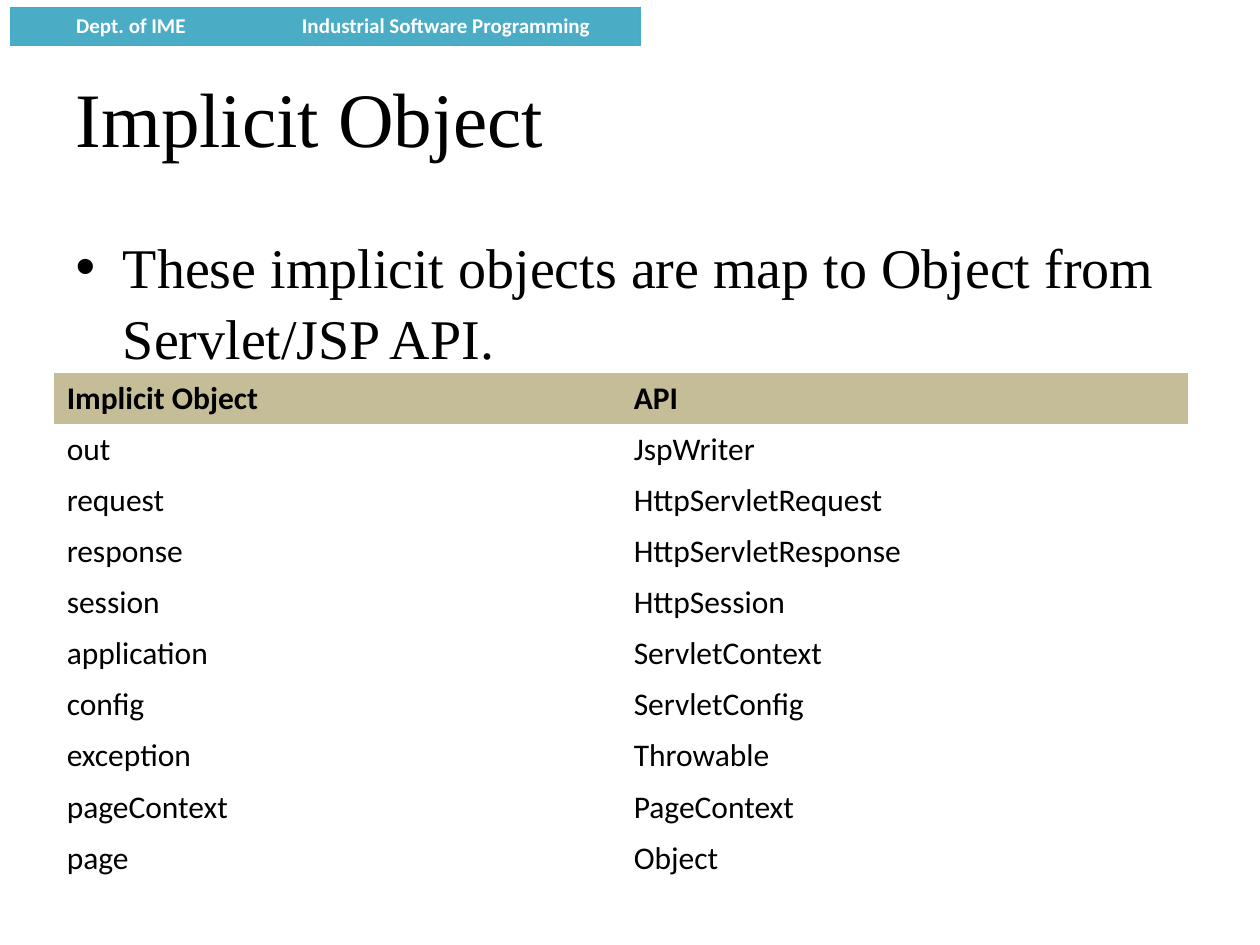
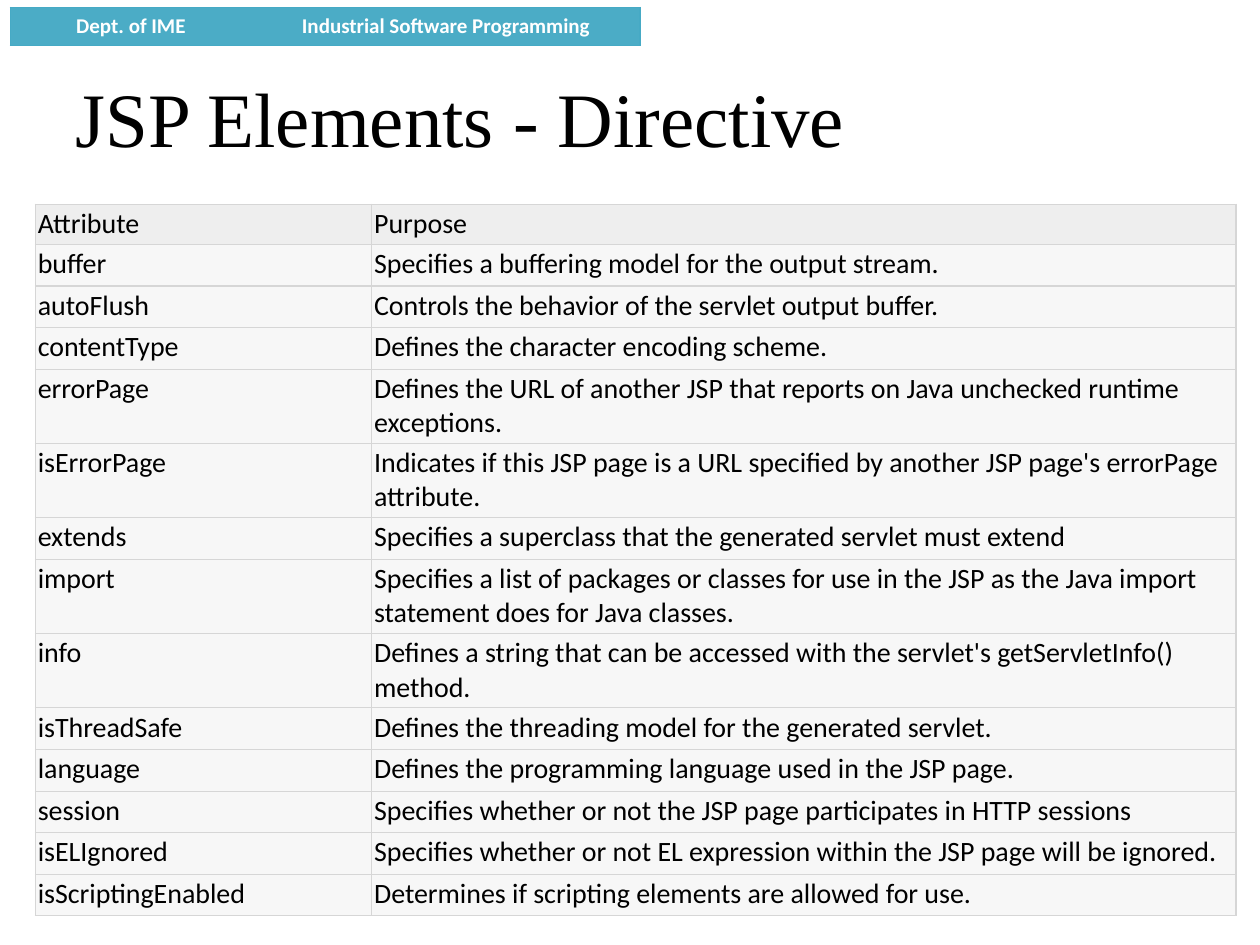
from lxml import etree
from pptx import Presentation
from pptx.dml.color import RGBColor
from pptx.enum import text
from pptx.oxml.ns import qn
from pptx.util import Inches, Pt

BAND, BAND_LINE, WHITE, BLACK = "4BACC6", "46AAC5", "FFFFFF", "000000"
TAN, GRID, HEAD_GREY, ROW_GREY = "C4BD97", "D6D6D6", "EEEEEE", "F7F7F7"
SERIF, SANS = "Times New Roman", "Calibri"
PLAIN_TABLE = "{2D5ABB26-0587-4C30-8999-92F81FD0307C}"
TITLE_BOX = (0.5, 0.3, 9, 1.25)
BAND_BOX = (0.08, 0.06, 5, 0.3)

IMPLICIT_OBJECTS = [
    ("Implicit Object", "API"),
    ("out", "JspWriter"),
    ("request", "HttpServletRequest"),
    ("response", "HttpServletResponse"),
    ("session", "HttpSession"),
    ("application", "ServletContext"),
    ("config", "ServletConfig"),
    ("exception", "Throwable"),
    ("pageContext", "PageContext"),
    ("page", "Object"),
]
DIRECTIVES = [
    ("Attribute", "Purpose"),
    ("buffer", "Specifies a buffering model for the output stream."),
    ("autoFlush", "Controls the behavior of the servlet output buffer."),
    ("contentType", "Defines the character encoding scheme."),
    ("errorPage", "Defines the URL of another JSP that reports on Java "
                  "unchecked runtime exceptions."),
    ("isErrorPage", "Indicates if this JSP page is a URL specified by another "
                    "JSP page's errorPage attribute."),
    ("extends", "Specifies a superclass that the generated servlet must extend"),
    ("import", "Specifies a list of packages or classes for use in the JSP as "
               "the Java import statement does for Java classes."),
    ("info", "Defines a string that can be accessed with the servlet's "
             "getServletInfo() method."),
    ("isThreadSafe", "Defines the threading model for the generated servlet."),
    ("language", "Defines the programming language used in the JSP page."),
    ("session", "Specifies whether or not the JSP page participates in HTTP sessions"),
    ("isELIgnored", "Specifies whether or not EL expression within the JSP page "
                    "will be ignored."),
    ("isScriptingEnabled", "Determines if scripting elements are allowed for use."),
]


def rgb(color):
    return RGBColor.from_string(color)


def style(p, name, size, color=BLACK, bold=False, align=text.PP_ALIGN.LEFT):
    p.alignment = align
    font = p.runs[0].font
    for key, value in dict(name=name, size=Pt(size), bold=bold).items():
        setattr(font, key, value)
    font.color.rgb = rgb(color)


def border(cell, sides, color):
    """Draw thin lines on the given sides, ahead of the cell's fill."""
    props = cell._tc.get_or_add_tcPr()
    for i, side in enumerate(sides):
        line = etree.Element(qn(f"a:ln{side}"), w=str(Pt(0.75)))
        fill = etree.SubElement(line, qn("a:solidFill"))
        etree.SubElement(fill, qn("a:srgbClr"), val=color)
        props.insert(i, line)


def fill_placeholder(sp, box, words, size):
    sp.left, sp.top, sp.width, sp.height = map(Inches, box)
    sp.text_frame.text = words
    p = sp.text_frame.paragraphs[0]
    style(p, SERIF, size)
    return p


def add_grid(s, box, rows, widths, heights, fills, font, margins=(0.1, 0.05),
             anchor=text.MSO_ANCHOR.TOP):
    """Table with one height, fill and font per row; returns the table."""
    table = s.shapes.add_table(len(rows), len(widths), *map(Inches, box)).table
    table.first_row = table.horz_banding = False
    table._tbl.tblPr.find(qn("a:tableStyleId")).text = PLAIN_TABLE
    for column, width in zip(table.columns, widths):
        column.width = Inches(width)
    side, end = map(Inches, margins)
    layout = dict(margin_left=side, margin_right=side, margin_top=end,
                  margin_bottom=end, vertical_anchor=anchor)
    for i, words in enumerate(rows):
        table.rows[i].height = Inches(heights[i])
        for cell, word in zip(table.rows[i].cells, words):
            for key, value in layout.items():
                setattr(cell, key, value)
            cell.text = word
            cell.fill.solid()
            cell.fill.fore_color.rgb = rgb(fills[i])
            style(cell.text_frame.paragraphs[0], SANS, **font(i))
    return table


def add_band(s, box):
    font = dict(size=12, color=WHITE, bold=True, align=text.PP_ALIGN.CENTER)
    table = add_grid(s, box, [("Dept. of IME", "Industrial Software Programming")],
                     (1.92, box[2] - 1.92), [box[3]], [BAND], lambda i: font)
    border(table.cell(0, 0), "LTB", BAND_LINE)
    border(table.cell(0, 1), "RTB", BAND_LINE)


def new_slide(prs, layout, title):
    s = prs.slides.add_slide(prs.slide_layouts[layout])
    add_band(s, BAND_BOX)
    fill_placeholder(s.shapes.title, TITLE_BOX, title, 44)
    s.shapes.title.text_frame.vertical_anchor = text.MSO_ANCHOR.MIDDLE
    return s


def implicit_object_slide(prs):
    s = new_slide(prs, 1, "Implicit Object")
    p = fill_placeholder(s.placeholders[1], (0.5, 1.77, 9, 4.93),
                         "These implicit objects are map to Object from "
                         "Servlet/JSP API.", 32)
    p.space_before = Pt(0)
    p.line_spacing = 1.05
    # Objects and their API classes
    count = len(IMPLICIT_OBJECTS)
    add_grid(s, (0.43, 2.96, 9, 4), IMPLICIT_OBJECTS, (4.5, 4.5),
             [4 / count] * count, [TAN] + [WHITE] * (count - 1),
             lambda i: dict(size=18, bold=i == 0), anchor=text.MSO_ANCHOR.MIDDLE)


def directive_slide(prs):
    s = new_slide(prs, 5, "JSP Elements - Directive")
    # Purposes too long for one line get a double row
    heights = [0.59 if len(purpose) > 78 else 0.33 for _, purpose in DIRECTIVES]
    heights[0] = 0.32
    table = add_grid(s, (0.28, 1.62, 9.53, sum(heights)), DIRECTIVES, (2.67, 6.86),
                     heights, [HEAD_GREY] + [ROW_GREY] * (len(DIRECTIVES) - 1),
                     lambda i: dict(size=16), margins=(0.02, 0.02))
    for cell in table.iter_cells():
        border(cell, "LRTB", GRID)


def main():
    prs = Presentation()
    prs.slide_width, prs.slide_height = Inches(10), Inches(7.5)
    implicit_object_slide(prs)
    directive_slide(prs)
    prs.save("out.pptx")


if __name__ == "__main__":
    main()
